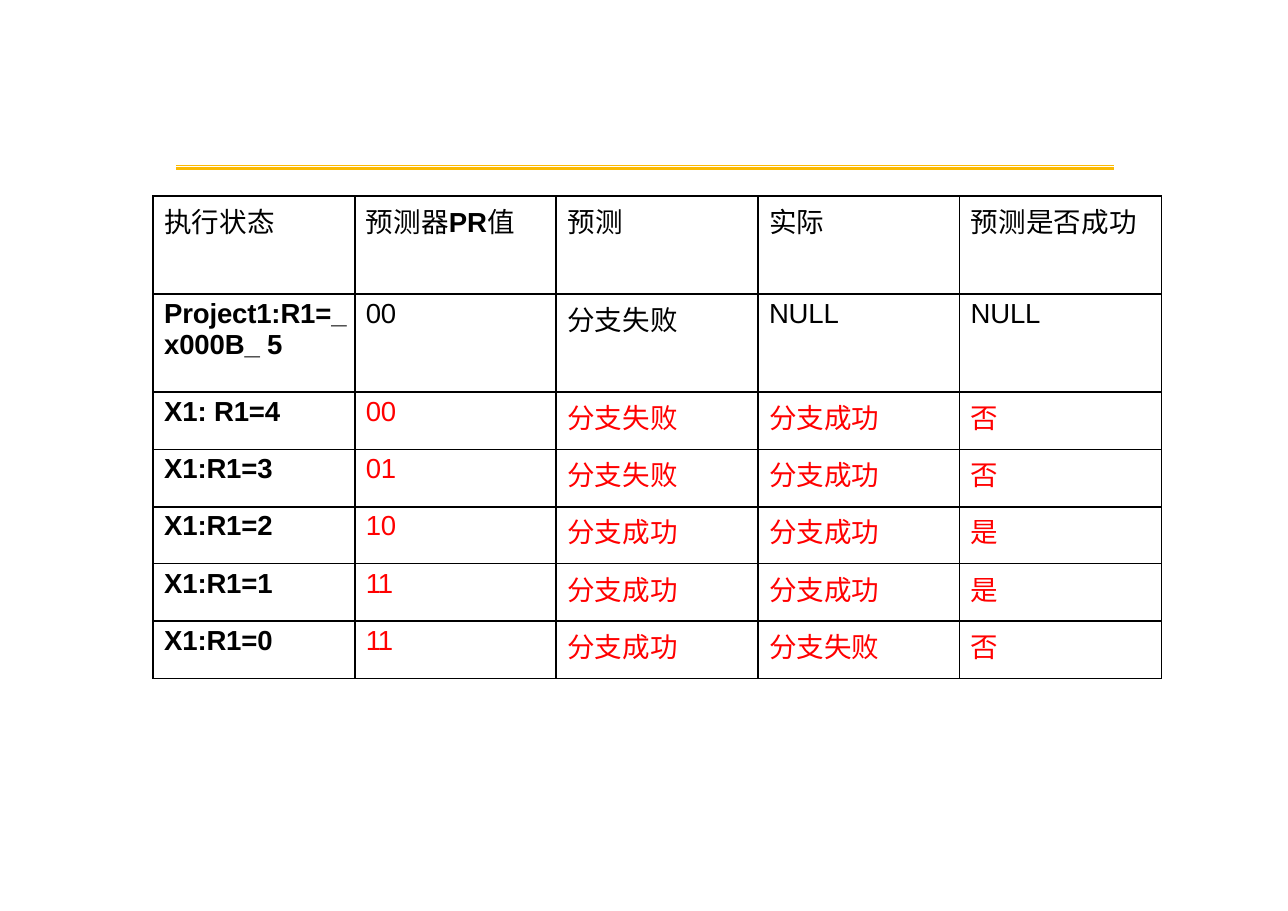
from dataclasses import dataclass

from lxml import etree
from pptx import Presentation
from pptx import util as u
from pptx.dml.color import RGBColor
from pptx.enum import shapes, text
from pptx.oxml import ns

PX = 9144  # EMU in one px, 100 px to the inch


@dataclass(frozen=True)
class Theme:
    ink: str = "000000"
    answer: str = "FF0000"
    rule: str = "FBBA03"
    latin: str = "Arial"
    chinese: str = "Noto Sans CJK SC"
    size: int = 18
    thin: float = 1
    thick: float = 1.5


THEME = Theme()


def px(length):
    return u.Emu(length * PX)


def write(para, words, *, color=THEME.ink, bold=False, spacing=0.0):
    """Add one run, in the Chinese or the Latin font as its letters need."""
    span = para.add_run()
    span.text = words
    font = span.font
    font.size = u.Pt(THEME.size)
    font.bold = bold
    font.color.rgb = RGBColor.from_string(color)
    font.name = THEME.latin if words.isascii() else THEME.chinese
    properties = span._r.get_or_add_rPr()
    properties.set("spc", str(round(spacing * 100)))
    etree.SubElement(properties, ns.qn("a:ea"), typeface=THEME.chinese)


class Slide:
    def __init__(self, deck, theme):
        self.theme = theme
        self.page = deck.slides.add_slide(deck.slide_layouts[6])

    def line(self, left, top, width, weight):
        rule = self.page.shapes.add_connector(
            shapes.MSO_CONNECTOR.STRAIGHT, px(left), px(top), px(left + width), px(top))
        rule.line.color.rgb = RGBColor.from_string(self.theme.rule)
        rule.line.width = u.Pt(weight)
        etree.SubElement(rule._element.spPr, ns.qn("a:effectLst"))

    def table(self, left, top, column, heights, columns):
        frame = self.page.shapes.add_table(
            len(heights), columns, px(left), px(top), px(column * columns), px(sum(heights)))
        grid = frame.table
        for item in grid.columns:
            item.width = px(column)
        for item, height in zip(grid.rows, heights):
            item.height = px(height)
        return grid

    def cell(self, cell, spans, borders):
        cell.margin_left, cell.margin_top = px(10), px(4)
        cell.margin_right = cell.margin_bottom = 0
        cell.vertical_anchor = text.MSO_ANCHOR.TOP
        for words, style in spans:
            write(cell.text_frame.paragraphs[0], words, **style)
        properties = cell._tc.get_or_add_tcPr()
        for side, weight in zip("LRTB", borders):
            edge = etree.SubElement(properties, ns.qn(f"a:ln{side}"), w=str(u.Pt(weight)))
            fill = etree.SubElement(edge, ns.qn("a:solidFill"))
            etree.SubElement(fill, ns.qn("a:srgbClr"), val=self.theme.ink)
        cell.fill.background()


HEADER = ["执行状态", "预测器|PR|值", "预测", "实际", "预测是否成功"]
STATES = [
    ["Project1:R1=\v 5", "00", "分支失败", "NULL", "NULL"],
    ["X1: R1=4", "00", "分支失败", "分支成功", "否"],
    ["X1:R1=3", "01", "分支失败", "分支成功", "否"],
    ["X1:R1=2", "10", "分支成功", "分支成功", "是"],
    ["X1:R1=1", "11", "分支成功", "分支成功", "是"],
    ["X1:R1=0", "11", "分支成功", "分支失败", "否"],
]


def style_of(words, row, column):
    if row == 0:
        latin = words.isascii()
        return dict(bold=latin, spacing=-0.1 if latin else 0.1)
    spacing = -0.7 if words == "11" else -0.1 if words.isascii() else 0
    color = THEME.answer if row > 1 and column > 0 else THEME.ink
    return dict(color=color, bold=column == 0, spacing=spacing)


def main():
    deck = Presentation()
    deck.slide_width, deck.slide_height = px(1169), px(827)
    slide = Slide(deck, THEME)

    # Double rule under the title area
    slide.line(160, 150, 851, 0.72)
    slide.line(160, 153, 851, 2.16)

    # Branch prediction table
    rows = [HEADER] + STATES
    grid = slide.table(139, 178, 183, [89] * 2 + [52] * 5, len(HEADER))
    upright = [THEME.thick] * 3 + [THEME.thin] * 3
    level = [THEME.thin] + [THEME.thin, THEME.thick] * 3 + [THEME.thin]
    for r, row in enumerate(rows):
        for c, content in enumerate(row):
            spans = [(words, style_of(words, r, c)) for words in content.split("|")]
            slide.cell(grid.cell(r, c), spans, upright[c:c + 2] + level[r:r + 2])

    deck.save("out.pptx")


if __name__ == "__main__":
    main()
